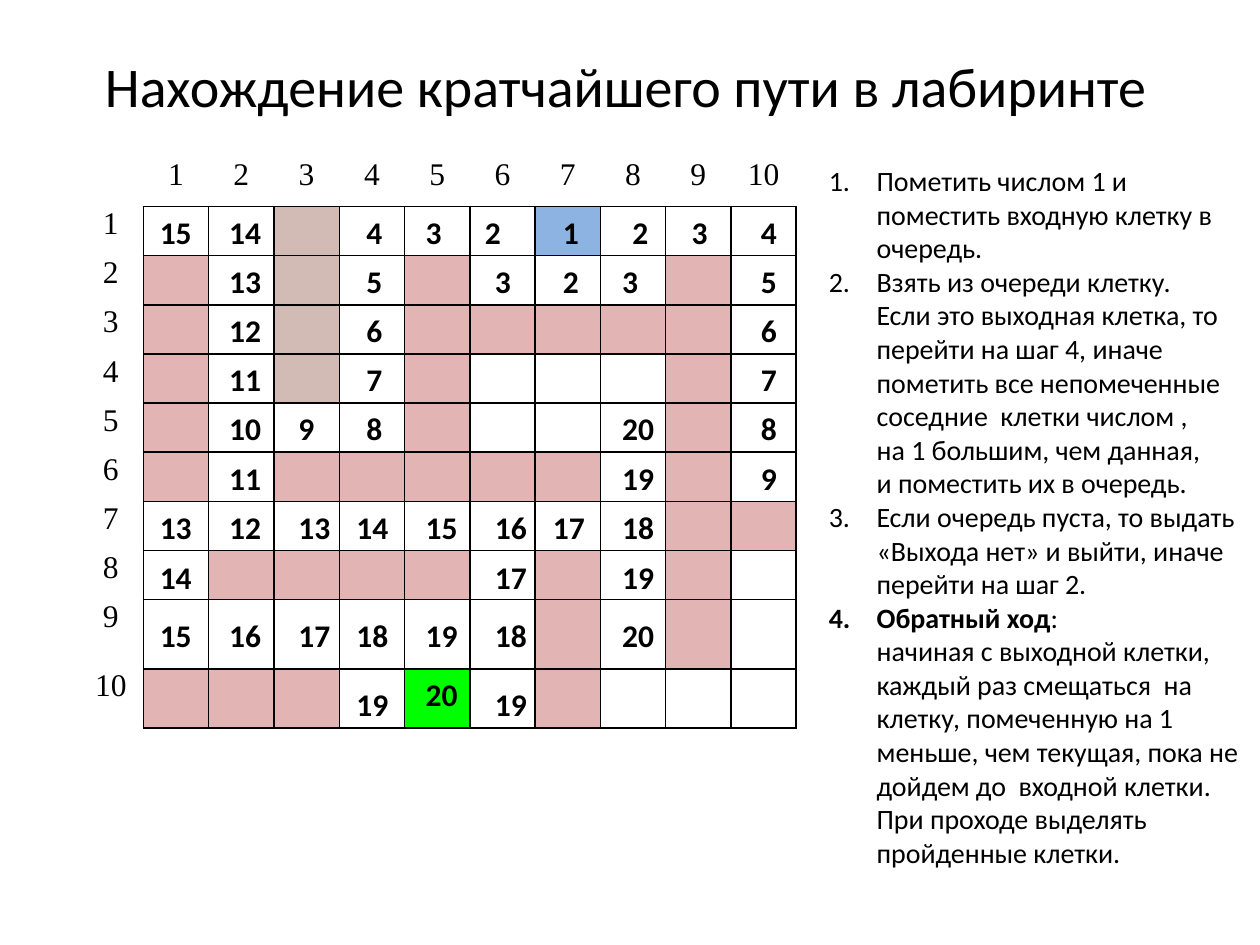
"""Build a slide on finding the shortest path through a maze."""
from lxml import etree
from pptx import Presentation, util as u
from pptx.dml.color import RGBColor
from pptx.enum import text as t
from pptx.oxml.ns import qn

HEX = {"ink": "000000", "#": "E2B4B4", "%": "D2BBB4", "S": "8DB3E2", "E": "00FF00"}
TITLE = "Нахождение кратчайшего пути в лабиринте"
MAZE = [
    "..%...S...",
    "#.%.#...#.",
    "#.%.#####.",
    "#.%.#...#.",
    "#...#...#.",
    "#.#####.#.",
    "........##",
    ".####.#.#.",
    "......#.#.",
    "###.E.#...",
]
MARKS = [
    [15, 14, 0, 4, 3, 2, 1, 2, 3, 4],
    [0, 13, 0, 5, 0, 3, 2, 3, 0, 5],
    [0, 12, 0, 6, 0, 0, 0, 0, 0, 6],
    [0, 11, 0, 7, 0, 0, 0, 0, 0, 7],
    [0, 10, 9, 8, 0, 0, 0, 20, 0, 8],
    [0, 11, 0, 0, 0, 0, 0, 19, 0, 9],
    [13, 12, 13, 14, 15, 16, 17, 18, 0, 0],
    [14, 0, 0, 0, 0, 17, 0, 19, 0, 0],
    [15, 16, 17, 18, 19, 18, 0, 20, 0, 0],
    [0, 0, 0, 19, 20, 19, 0, 0, 0, 0],
]
STEPS = [
    ("Пометить числом 1 и", "поместить входную клетку в", "очередь."),
    ("Взять из очереди клетку.", "Если это выходная клетка, то",
     "перейти на шаг 4, иначе", "пометить все непомеченные",
     "соседние  клетки числом ,", "на 1 большим, чем данная,",
     "и поместить их в очередь."),
    ("Если очередь пуста, то выдать", "«Выхода нет» и выйти, иначе",
     "перейти на шаг 2."),
    ("Обратный ход:", "начиная с выходной клетки,", "каждый раз смещаться  на",
     "клетку, помеченную на 1", "меньше, чем текущая, пока не",
     "дойдем до  входной клетки.", "При проходе выделять", "пройденные клетки."),
]
BOLD = "Обратный ход"
SIZE, LEFT, TOP, WIDE, HIGH = 10, 0.62, 1.25, 5.7, 0.39
TALL = {9: 0.55, 10: 0.47}
COLS = [1.17, 1.72, 2.27, 2.81, 3.28, 3.83, 4.37, 4.84, 5.39, 5.94]
ROWS = [1.64 + HIGH * i for i in range(7)] + [4.38, 4.84, 5.39]
NUDGE = {(0, 5): (-0.08, 0), (0, 7): (0.08, 0), (9, 4): (0, -0.08)}
PLAIN = "{2D5ABB26-0587-4C30-8999-92F81FD0307C}"


def color(key):
    return RGBColor.from_string(HEX[key])


def style(run, size, name="Calibri", bold=False):
    for key, val in {"size": u.Pt(size), "name": name, "bold": bold}.items():
        setattr(run.font, key, val)
    run.font.color.rgb = color("ink")


def add_run(para, words, *look):
    run = para.add_run()
    run.text = words
    style(run, *look)


def add_box(slide, x, y, w, h, wrap=True):
    frame = slide.shapes.add_textbox(*map(u.Inches, (x, y, w, h))).text_frame
    frame.word_wrap = wrap
    return frame


def add_edges(cell):
    props = cell._tc.get_or_add_tcPr()
    for side in "LRTB":
        line = etree.SubElement(props, qn("a:ln" + side), w=str(u.Pt(1)))
        fill = etree.SubElement(line, qn("a:solidFill"))
        etree.SubElement(fill, qn("a:srgbClr"), val=HEX["ink"])


def add_maze(slide):
    high = [TALL.get(i, HIGH) for i in range(SIZE + 1)]
    place = map(u.Inches, (LEFT, TOP, WIDE, sum(high)))
    grid = slide.shapes.add_table(SIZE + 1, SIZE + 1, *place).table
    grid.first_row = grid.horz_banding = False
    grid._tbl.tblPr.find(qn("a:tableStyleId")).text = PLAIN
    for col in grid.columns:
        col.width = u.Inches(WIDE / (SIZE + 1))
    for r, row in enumerate(grid.rows):
        row.height = u.Inches(high[r])
        for c, cell in enumerate(row.cells):
            for side, gap in {"left": 0.07, "right": 0.07, "top": 0, "bottom": 0}.items():
                setattr(cell, "margin_" + side, u.Inches(gap))
            kind = MAZE[r - 1][c - 1] if r and c else "."
            if r and c:
                add_edges(cell)
            elif r or c:
                para = cell.text_frame.paragraphs[0]
                para.alignment = t.PP_ALIGN.CENTER
                add_run(para, str(r or c), 18, "Times New Roman")
            if kind in HEX:
                cell.fill.solid()
                cell.fill.fore_color.rgb = color(kind)
            else:
                cell.fill.background()


def add_marks(slide):
    for r, row in enumerate(MARKS):
        for c, mark in enumerate(row):
            if not mark:
                continue
            dx, dy = NUDGE.get((r, c), (0, 0))
            if mark > 9 and c in (3, 6):
                dx -= 0.08
            wide = 0.46 if mark > 9 else 0.33
            frame = add_box(slide, COLS[c] + dx, ROWS[r] + dy, wide, 0.4, False)
            add_run(frame.paragraphs[0], str(mark), 18, "Calibri", True)


def add_steps(slide):
    frame = add_box(slide, 6.48, 1.25, 3.54, 5.76)
    para = frame.paragraphs[0]
    for num, lines in enumerate(STEPS, 1):
        for i, line in enumerate(lines):
            if num > 1 or i:
                para = frame.add_paragraph()
            props = para._p.get_or_add_pPr()
            props.set("marL", str(u.Inches(0.38)))
            props.set("indent", str(0 if i else u.Inches(-0.38)))
            if not i:
                etree.SubElement(props, qn("a:buAutoNum"), type="arabicPeriod", startAt=str(num))
            if line.startswith(BOLD):
                add_run(para, BOLD, 16, "Calibri", True)
                line = line[len(BOLD):]
            add_run(para, line, 16)


def main():
    deck = Presentation()
    deck.slide_width, deck.slide_height = u.Inches(10), u.Inches(7.5)
    slide = deck.slides.add_slide(deck.slide_layouts[6])
    head = add_box(slide, 0.47, 0.16, 9, 1.03)
    head.vertical_anchor = t.MSO_ANCHOR.MIDDLE
    head.paragraphs[0].alignment = t.PP_ALIGN.CENTER
    add_run(head.paragraphs[0], TITLE, 32)
    add_maze(slide)
    add_marks(slide)
    add_steps(slide)
    deck.save("out.pptx")


if __name__ == "__main__":
    main()
